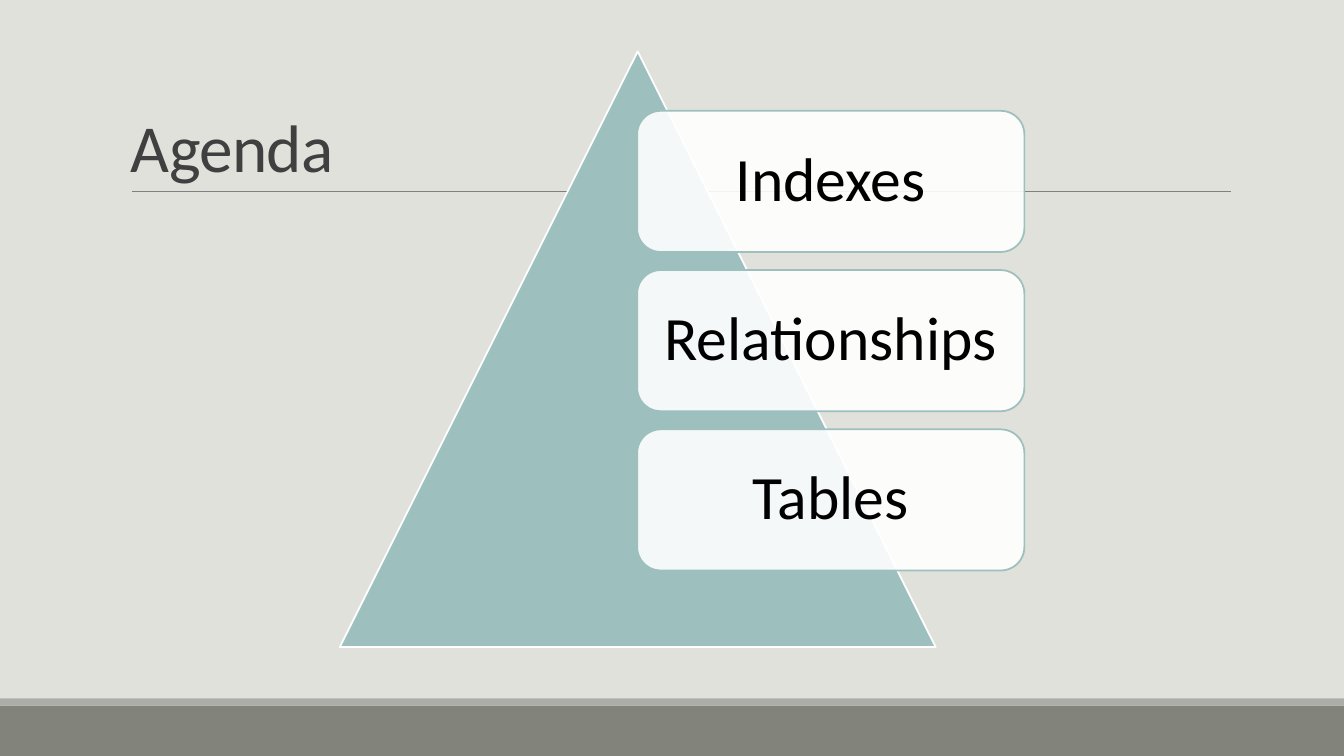
from dataclasses import dataclass

from lxml.etree import SubElement
from pptx import Presentation
from pptx.dml.color import RGBColor
from pptx.enum.shapes import MSO_CONNECTOR, MSO_SHAPE as SHAPE
from pptx.enum.text import MSO_ANCHOR as ANCHOR, PP_ALIGN as ALIGN
from pptx.oxml.ns import qn
from pptx.util import Emu, Pt

EMU_PER_PX = 9144
FONT = "Calibri"
COLORS = {
    "background": "E1E1DB",
    "footer": "82847C",
    "footer_edge": "ACADA8",
    "rule": "808080",
    "title": "404040",
    "teal": "9DBFBE",
    "white": "FFFFFF",
    "black": "000000",
}
TOPICS = ["Indexes", "Relationships", "Tables"]
CARD_TOP, CARD_STEP = 110, 158


@dataclass
class Block:
    kind: SHAPE
    left: int
    top: int
    width: int
    height: int
    fill: str
    line: str = ""
    opacity: int = 100


def px(n: int) -> Emu:
    return Emu(n * EMU_PER_PX)


def rgb(name: str) -> RGBColor:
    return RGBColor.from_string(COLORS[name])


def add_block(s, b: Block):
    sp = s.shapes.add_shape(b.kind, px(b.left), px(b.top), px(b.width), px(b.height))
    sp.shadow.inherit = False
    sp.fill.solid()
    sp.fill.fore_color.rgb = rgb(b.fill)
    if b.opacity < 100:
        color = sp.fill._xPr.find(qn("a:solidFill"))[0]
        SubElement(color, qn("a:alpha"), val=str(b.opacity * 1000))
    if b.line:
        sp.line.color.rgb = rgb(b.line)
        sp.line.width = Pt(1.25)
    else:
        sp.line.fill.background()
    return sp


def set_text(sp, text: str, size: int, color: str, spacing: float, anchor: ANCHOR, align: ALIGN):
    tf = sp.text_frame
    tf.word_wrap = True
    tf.vertical_anchor = anchor
    p = tf.paragraphs[0]
    p.alignment = align
    p.line_spacing = spacing
    r = p.add_run()
    r.text = text
    p.font.name = FONT
    p.font.size = Pt(size)
    p.font.color.rgb = rgb(color)
    return r


def add_rule(s) -> None:
    rule = s.shapes.add_connector(MSO_CONNECTOR.STRAIGHT, px(131), px(190), px(1221), px(190))
    rule.line.color.rgb = rgb("rule")
    rule.line.width = Pt(0.5)
    SubElement(rule._element.spPr, qn("a:effectLst"))


def add_title(s, text: str) -> None:
    sp = s.shapes.add_textbox(px(120), px(31), px(1100), px(159))
    r = set_text(sp, text, 48, "title", 0.85, ANCHOR.BOTTOM, ALIGN.LEFT)
    r._r.get_or_add_rPr().set("spc", "-50")


def add_card(s, row: int, topic: str) -> None:
    top = CARD_TOP + row * CARD_STEP
    sp = add_block(s, Block(SHAPE.ROUNDED_RECTANGLE, 632, top, 384, 140, "white", "teal", 90))
    tf = sp.text_frame
    tf.margin_left = tf.margin_right = tf.margin_top = tf.margin_bottom = px(18)
    set_text(sp, topic, 44, "black", 0.9, ANCHOR.MIDDLE, ALIGN.CENTER)


def main() -> None:
    prs = Presentation()
    prs.slide_width, prs.slide_height = px(1333), px(750)
    s = prs.slides.add_slide(prs.slide_layouts[6])
    s.background.fill.solid()
    s.background.fill.fore_color.rgb = rgb("background")

    add_block(s, Block(SHAPE.RECTANGLE, 0, 700, 1333, 50, "footer"))
    add_block(s, Block(SHAPE.RECTANGLE, 0, 693, 1333, 7, "footer_edge"))
    add_rule(s)
    add_title(s, "Agenda")
    add_block(s, Block(SHAPE.ISOSCELES_TRIANGLE, 337, 51, 591, 591, "teal", "white"))
    for row, topic in enumerate(TOPICS):
        add_card(s, row, topic)

    prs.save("out.pptx")


if __name__ == "__main__":
    main()
